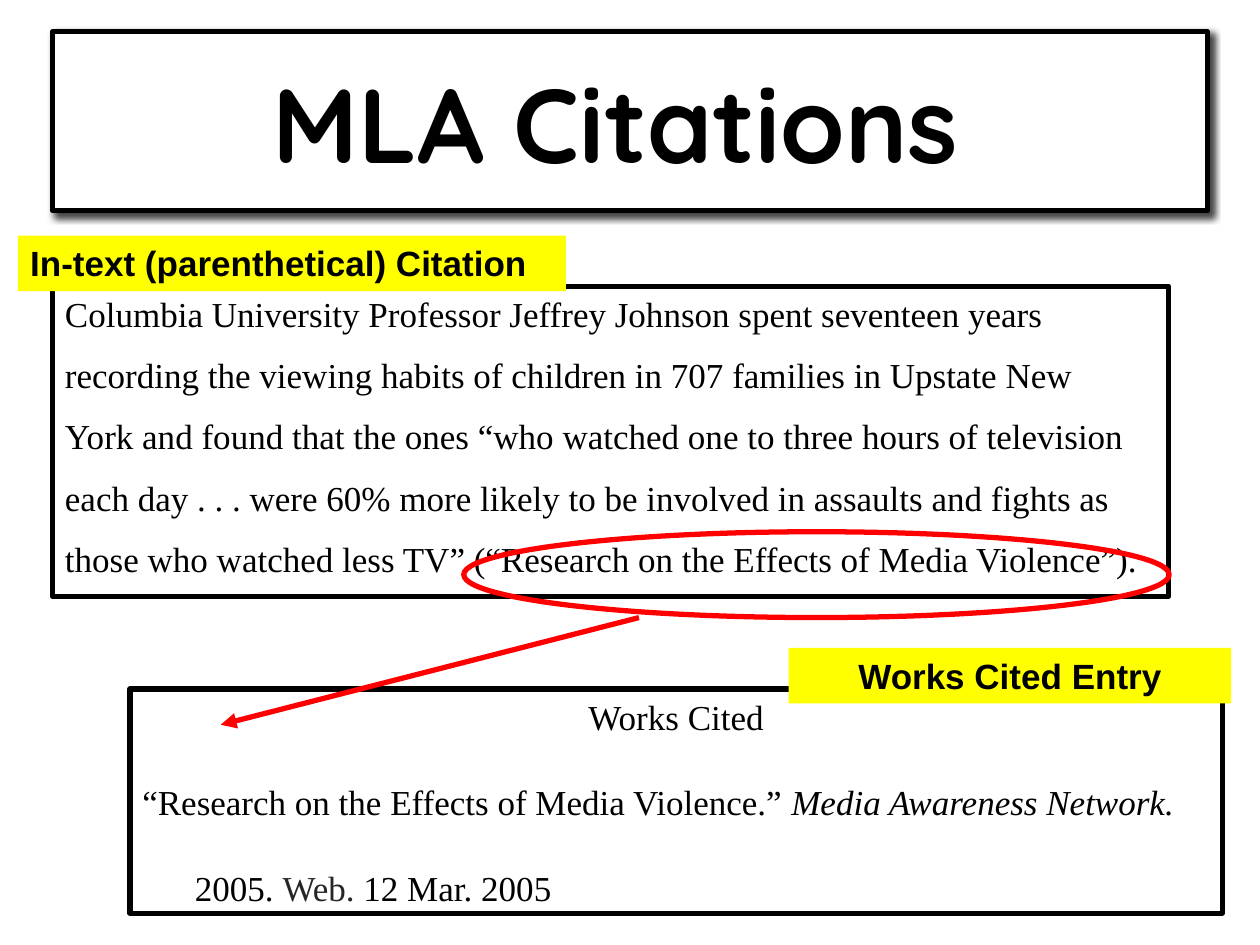
from lxml import etree
from pptx import Presentation
from pptx.dml.color import RGBColor
from pptx.enum import shapes, text
from pptx.oxml import ns
from pptx.util import Cm, Pt

COLOURS = {"ink": "000000", "grey": "262626", "paper": "FFFFFF",
           "label": "FFFF00", "mark": "FF0000"}
SERIF = {"name": "Times New Roman", "size": Pt(20)}
LABEL = {"name": "Arial", "size": Pt(20), "bold": True}
HEADING = {"name": "Quicksand", "size": Pt(60), "bold": True}
CENTRED = {"alignment": text.PP_ALIGN.CENTER}

QUOTATION = [
    "Columbia University Professor Jeffrey Johnson spent seventeen years",
    "recording the viewing habits of children in 707 families in Upstate New",
    "York and found that the ones “who watched one to three hours of television",
    "each day . . . were 60% more likely to be involved in assaults and fights as",
    "those who watched less TV” (“Research on the Effects of Media Violence”).",
]


def colour(name):
    return RGBColor.from_string(COLOURS[name])


def apply(target, values):
    for key, value in values.items():
        setattr(target, key, value)


def set_line(item, name):
    item.line.color.rgb = colour(name)
    item.line.width = Pt(3)


def add_panel(page, place, fill=None, line=None, kind=shapes.MSO_SHAPE.RECTANGLE):
    """Add a flat shape; a missing fill or line is left empty."""
    panel = page.shapes.add_shape(kind, *map(Cm, place))
    panel.shadow.inherit = False
    if fill:
        panel.fill.solid()
        panel.fill.fore_color.rgb = colour(fill)
    else:
        panel.fill.background()
    if line:
        set_line(panel, line)
    else:
        panel.line.fill.background()
    return panel


def write(box, paragraphs, font, gap=0, anchor=text.MSO_ANCHOR.TOP):
    """Fill a box from (spans, paragraph format) pairs; a span is (words, font changes, colour)."""
    frame = box.text_frame
    apply(frame, {"word_wrap": True, "vertical_anchor": anchor})
    for index, (spans, layout) in enumerate(paragraphs):
        para = frame.add_paragraph() if index else frame.paragraphs[0]
        para.alignment = text.PP_ALIGN.LEFT
        para.space_before = Pt(gap if index else 0)
        apply(para, layout)
        for words, changes, ink in spans:
            span = para.add_run()
            span.text = words
            apply(span.font, {**font, **changes})
            span.font.color.rgb = colour(ink)


def plain(words, layout=None):
    return [(words, {}, "ink")], layout or {}


def add_drop_shadow(box):
    effects = box._element.spPr.find(ns.qn("a:effectLst"))
    shadow = etree.SubElement(effects, ns.qn("a:outerShdw"), blurRad=str(Pt(4)),
                              dist=str(Pt(3)), dir=str(49 * 60000), rotWithShape="0")
    ink = etree.SubElement(shadow, ns.qn("a:srgbClr"), val=COLOURS["ink"])
    etree.SubElement(ink, ns.qn("a:alpha"), val="72000")


def indent_paragraph(para, distance):
    para._p.get_or_add_pPr().set("marL", str(Cm(distance)))


def add_arrow(page, start, end):
    arrow = page.shapes.add_connector(shapes.MSO_CONNECTOR.STRAIGHT,
                                      *map(Cm, start + end))
    set_line(arrow, "mark")
    etree.SubElement(arrow.line._get_or_add_ln(), ns.qn("a:tailEnd"), type="triangle")
    etree.SubElement(arrow._element.spPr, ns.qn("a:effectLst"))


def main():
    deck = Presentation()
    deck.slide_width, deck.slide_height = Cm(25.4), Cm(19.05)
    page = deck.slides.add_slide(deck.slide_layouts[6])

    title = add_panel(page, (1.06, 0.64, 23.28, 3.61), "paper", "ink")
    add_drop_shadow(title)
    write(title, [plain("MLA Citations ", CENTRED)], HEADING,
          anchor=text.MSO_ANCHOR.MIDDLE)

    passage = add_panel(page, (1.06, 5.77, 22.5, 6.25), "paper", "ink")
    write(passage, [plain(words) for words in QUOTATION], SERIF, gap=11)

    entry = add_panel(page, (2.62, 13.89, 22.02, 4.52), "paper", "ink")
    write(entry, [
        plain("Works Cited", CENTRED),
        ([("“Research on the Effects of Media Violence.” ", {}, "ink"),
          ("Media Awareness Network.", {"italic": True}, "ink")], {}),
        ([("2005. ", {}, "ink"), ("Web. ", {}, "grey"),
          ("12 Mar. 2005", {}, "ink")], {}),
    ], SERIF, gap=25)
    indent_paragraph(entry.text_frame.paragraphs[-1], 1.06)

    for words, place, layout in [
        ("In-text (parenthetical) Citation", (0.36, 4.75, 11.05, 1.12), {}),
        ("Works Cited Entry", (15.9, 13.06, 8.92, 1.12), CENTRED),
    ]:
        write(add_panel(page, place, "label"), [plain(words, layout)], LABEL)

    add_panel(page, (9.35, 10.72, 14.22, 1.73), line="mark",
              kind=shapes.MSO_SHAPE.OVAL)
    add_arrow(page, (12.88, 12.45), (4.45, 14.61))
    deck.save("out.pptx")


if __name__ == "__main__":
    main()
